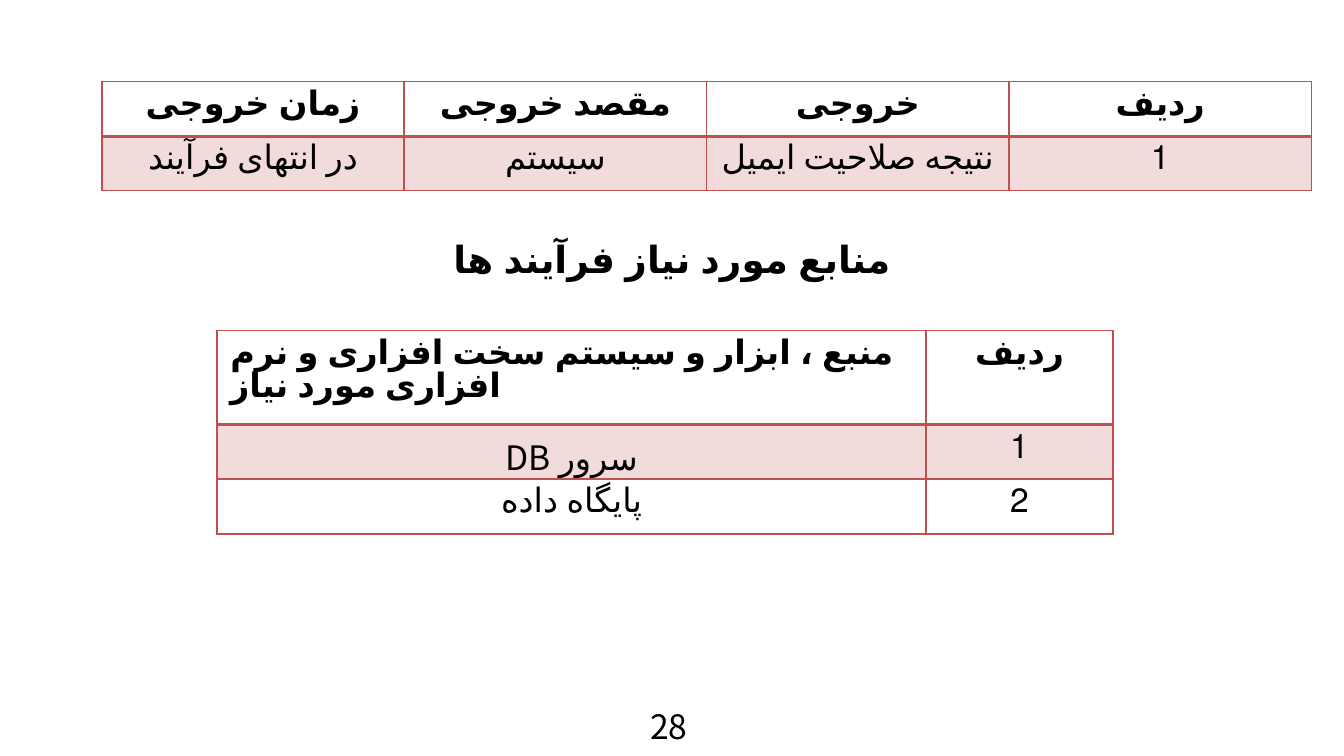
from lxml.etree import SubElement
from pptx import Presentation
from pptx.dml.color import RGBColor
from pptx.enum.lang import MSO_LANGUAGE_ID
from pptx.enum.text import MSO_ANCHOR, PP_ALIGN
from pptx.oxml.ns import qn
from pptx.util import Pt

COLORS = {"text": "000000", "accent": "C0504D"}
BODY_FONT = "Noto Sans CJK KR"
TITLE_FONT = "Calibri"


def write_text(frame, text, font=BODY_FONT, size=18, bold=False, centered=True):
    frame.word_wrap = True
    paragraph = frame.paragraphs[0]
    if centered:
        paragraph.alignment = PP_ALIGN.CENTER
        paragraph._p.get_or_add_pPr().set("rtl", "1")
    else:
        paragraph.alignment = PP_ALIGN.LEFT
    run = paragraph.add_run()
    run.text = text
    run.font.name = font
    run.font.size = Pt(size)
    run.font.bold = bold
    run.font.language_id = MSO_LANGUAGE_ID.FARSI
    run.font.color.rgb = RGBColor.from_string(COLORS["text"])


class SlideBuilder:
    def __init__(self, slide):
        self.slide = slide

    def text(self, text, left, top, width, height, **text_format):
        box = self.slide.shapes.add_textbox(Pt(left), Pt(top), Pt(width), Pt(height))
        write_text(box.text_frame, text, **text_format)

    def borders(self, cell, widths):
        properties = cell._tc.get_or_add_tcPr()
        for side, width in widths.items():
            line = SubElement(properties, qn(f"a:ln{side}"), w=str(Pt(width)))
            fill = SubElement(line, qn("a:solidFill"))
            SubElement(fill, qn("a:srgbClr"), val=COLORS["accent"])

    def tint(self, cell):
        cell.fill.solid()
        cell.fill.fore_color.rgb = RGBColor.from_string(COLORS["accent"])
        color = cell._tc.tcPr.find(f"{qn('a:solidFill')}/{qn('a:srgbClr')}")
        SubElement(color, qn("a:alpha"), val="20000")

    def table(self, rows, left, top, column_widths, row_height=29.2, left_aligned=()):
        frame = self.slide.shapes.add_table(
            len(rows), len(column_widths), Pt(left), Pt(top),
            Pt(sum(column_widths)), Pt(row_height * len(rows)))
        table = frame.table
        table.first_row = False
        table.horz_banding = False
        for column, width in zip(table.columns, column_widths):
            column.width = Pt(width)
        for row_index, texts in enumerate(rows):
            table.rows[row_index].height = Pt(row_height)
            for column_index, text in enumerate(texts):
                cell = table.cell(row_index, column_index)
                cell.vertical_anchor = MSO_ANCHOR.TOP
                write_text(cell.text_frame, text, bold=row_index == 0,
                           centered=(row_index, column_index) not in left_aligned)
                self.borders(cell, {"L": 1, "R": 1,
                                    "T": 2 if row_index == 1 else 1,
                                    "B": 2 if row_index == 0 else 1})
                if row_index % 2:
                    self.tint(cell)
                else:
                    cell.fill.background()


def main():
    presentation = Presentation()
    presentation.slide_width = Pt(720)
    presentation.slide_height = Pt(405)
    builder = SlideBuilder(presentation.slides.add_slide(presentation.slide_layouts[6]))

    outputs = [
        ["زمان خروجی", "مقصد خروجی", "خروجی", "ردیف"],
        ["در انتهای فرآیند", "سیستم", "نتیجه صلاحیت ایمیل", "1"],
    ]
    resources = [
        ["منبع ، ابزار و سیستم سخت افزاری و نرم افزاری مورد نیاز", "ردیف"],
        ["سرور DB", "1"],
        ["پایگاه داده", "2"],
    ]
    builder.table(outputs, 54.5, 43.75, [162] * 4)
    builder.text("28", 341.3, 374.4, 36.7, 24.5, centered=False)
    builder.text("منابع مورد نیاز فرآیند ها", 180, 123.1, 360, 31.7,
                 font=TITLE_FONT, size=20, bold=True)
    builder.table(resources, 116.2, 177.1, [380, 100], left_aligned=[(0, 0)])
    presentation.save("out.pptx")


if __name__ == "__main__":
    main()
